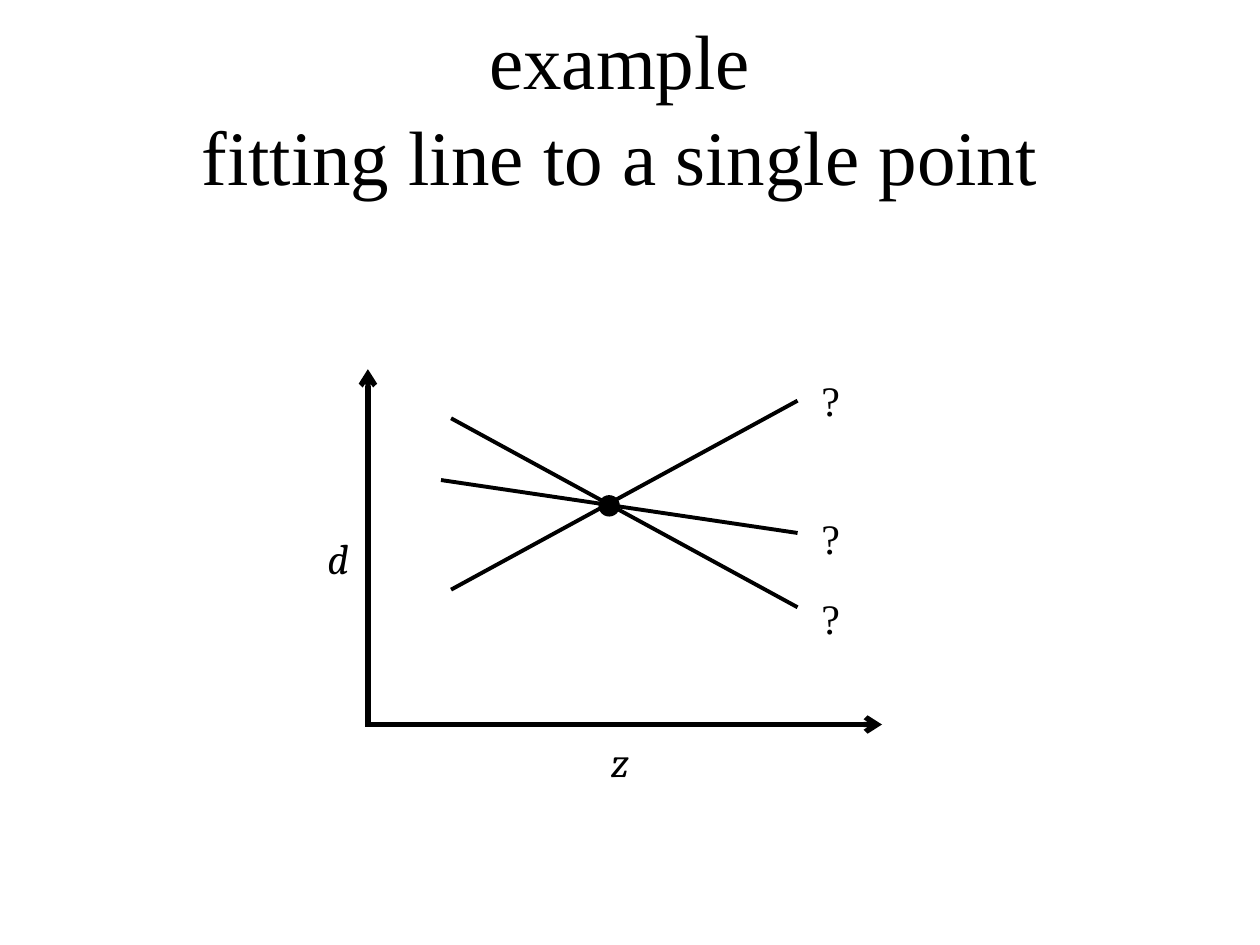
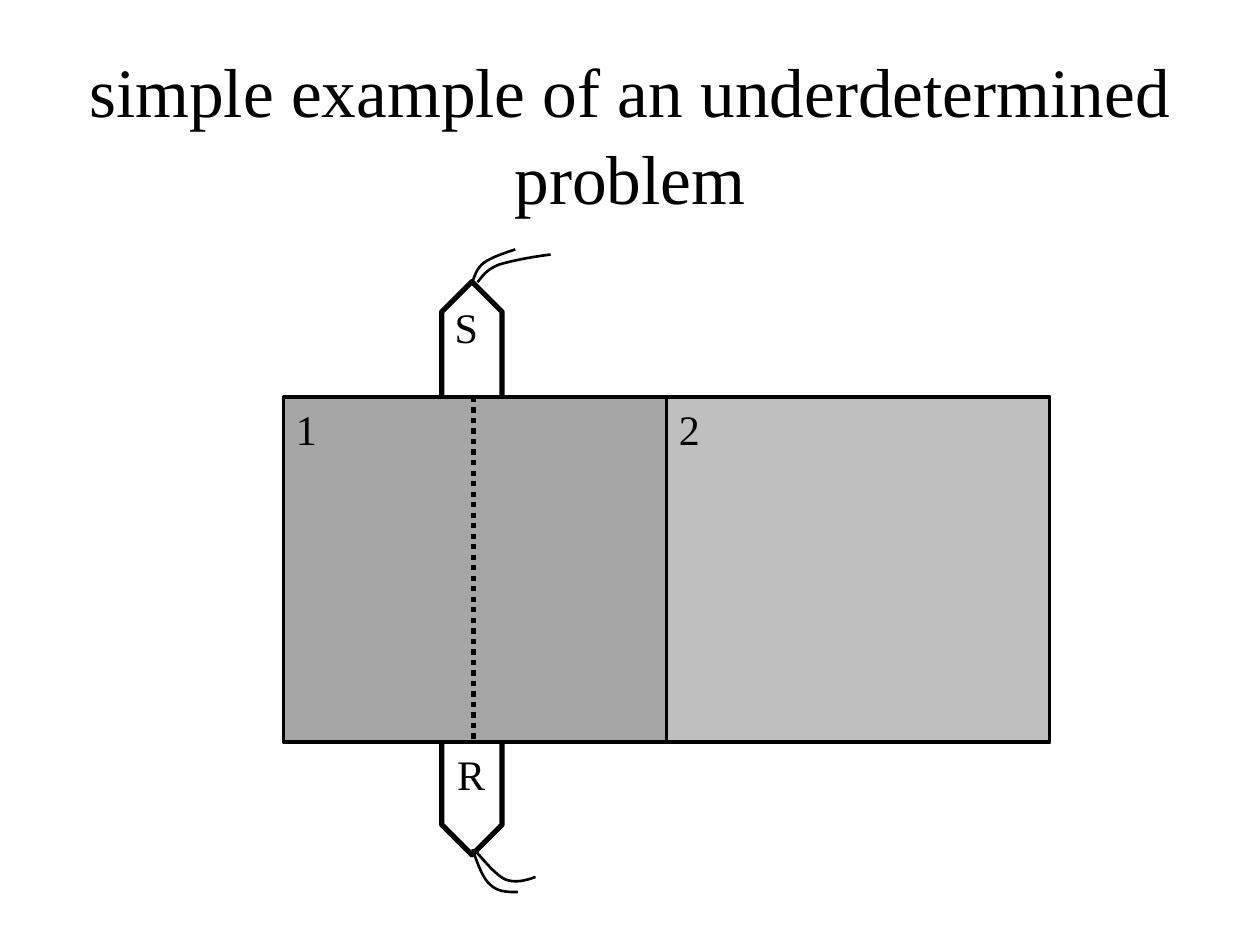
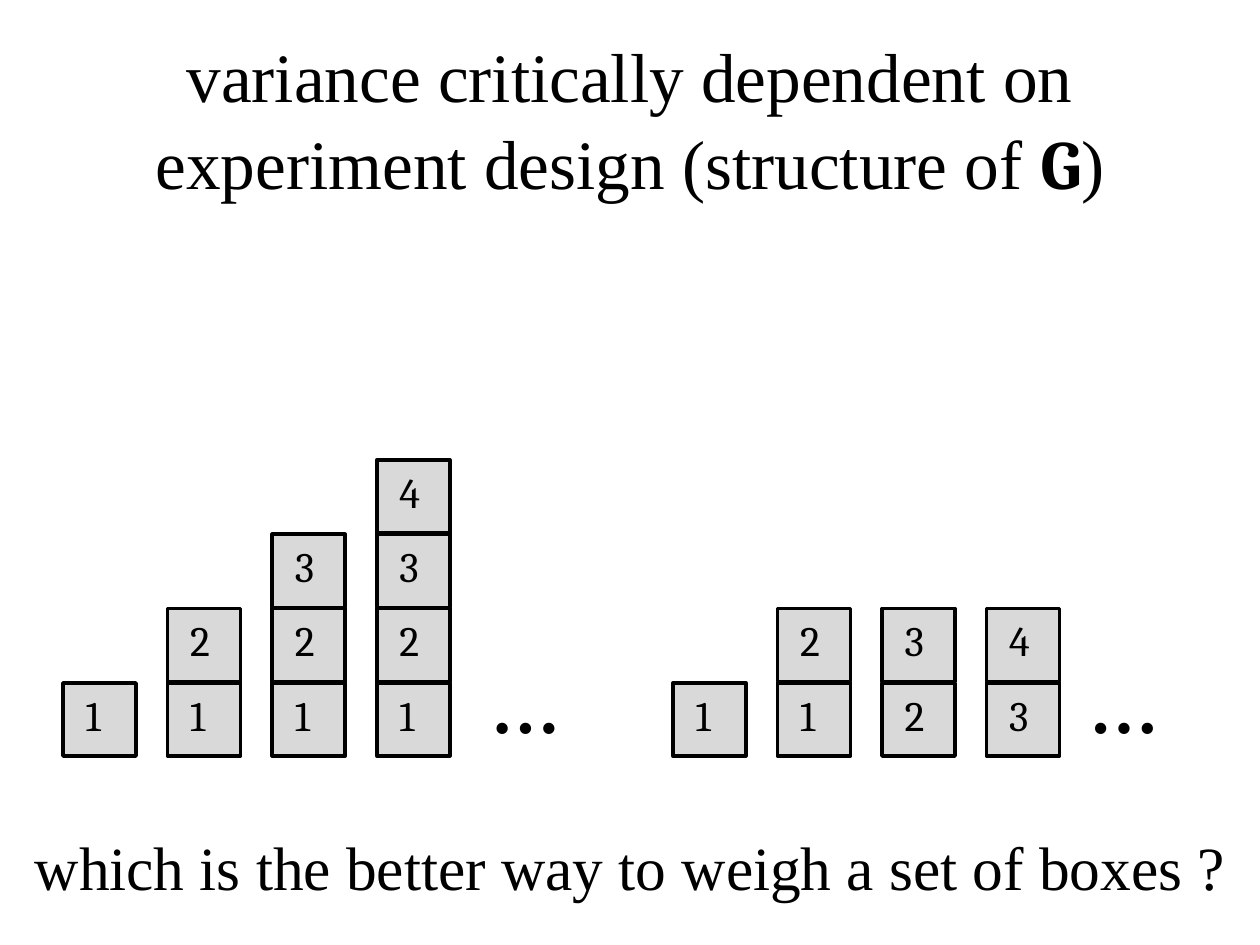
"""Build three slides on fitting a line, an underdetermined problem and weighing boxes."""
from pptx import Presentation
from pptx.dml.color import RGBColor
from pptx.enum.dml import MSO_LINE
from pptx.enum.shapes import MSO_CONNECTOR, MSO_SHAPE
from pptx.enum.text import MSO_ANCHOR, PP_ALIGN
from pptx.oxml.ns import qn
from pptx.util import Inches, Pt
from lxml.etree import SubElement

INK = {"black": "000000", "dark": "A6A6A6", "mid": "BFBFBF", "light": "D9D9D9"}
SERIF, MATH = "Times New Roman", "Cambria"

AXES = [(2.92, 5.75, 7, 5.75), (2.92, 5.77, 2.92, 2.93)]
FITS = [(3.58, 4.68, 6.33, 3.18), (3.5, 3.81, 6.33, 4.23), (3.58, 3.32, 6.33, 4.82)]
POINT = (4.75, 3.93, 0.17, 0.17)
NAMES = [("z", 4.75, 5.79), ("d", 2.5, 4.18)]
DOUBTS = [2.92, 4.02, 4.65]

PROBES = [(6.06, 90), (2.48, 270)]
BLOCKS = [((2.25, 3.15, 6.08, 2.74), "dark"), ((5.29, 3.15, 3.04, 2.74), "mid")]
RAY = (3.76, 3.15, 3.76, 5.89)
MARKS = [("R", 3.53, 5.89), ("S", 3.51, 2.34), ("2", 5.29, 3.15), ("1", 2.25, 3.15)]
WIRES = [
    [(3.75, 2.24), (3.77, 2.18), (3.79, 2.12), (3.85, 2.08), (3.91, 2.04), (4, 2.01), (4.09, 1.98)],
    [(3.79, 2.24), (3.83, 2.19), (3.86, 2.14), (3.96, 2.1), (4.06, 2.07), (4.21, 2.04), (4.37, 2.02)],
    [(3.75, 6.74), (3.79, 6.85), (3.83, 6.97), (3.89, 7.02), (3.95, 7.08), (4.03, 7.08), (4.11, 7.08)],
    [(3.77, 6.75), (3.85, 6.84), (3.93, 6.94), (4.01, 6.98), (4.09, 7.01), (4.17, 6.99), (4.25, 6.96)],
]

SETS = [
    (0.5, ["1", "12", "123", "1234"]),
    (5.34, ["1", "12", "23", "34"]),
]
BOX, STEP, RISE, FLOOR = 0.58, 0.83, 0.59, 5.42
DOTS = [3.67, 8.42]


def color(name):
    return RGBColor.from_string(INK[name])


def style(para, size, face=SERIF, bold=False, slant=False):
    font = para.font
    font.name, font.size, font.bold, font.italic = face, Pt(size), bold, slant
    font.color.rgb = color("black")


def label(slide, text, box, size=24, mid=False, **look):
    frame = slide.shapes.add_textbox(*map(Inches, box)).text_frame
    frame.word_wrap = True
    para = frame.paragraphs[0]
    para.text = text
    style(para, size, **look)
    if mid:
        frame.vertical_anchor = MSO_ANCHOR.MIDDLE
        para.alignment = PP_ALIGN.CENTER
    return para


def title(slide, text, box, size=39.6):
    para = label(slide, text, box, size, mid=True)
    para.line_spacing = 1.04
    return para


def ink(shape, width):
    shape.line.color.rgb = color("black")
    shape.line.width = Pt(width)


def solid(slide, kind, box, fill=None, width=2):
    shape = slide.shapes.add_shape(kind, *map(Inches, box))
    shape.shadow.inherit = False
    ink(shape, width)
    if fill:
        shape.fill.solid()
        shape.fill.fore_color.rgb = color(fill)
    else:
        shape.fill.background()
    return shape


def line(slide, ends, width, arrow=False):
    link = slide.shapes.add_connector(MSO_CONNECTOR.STRAIGHT, *map(Inches, ends))
    ink(link, width)
    SubElement(link._element.spPr, qn("a:effectLst"))
    if arrow:
        SubElement(link.line._get_or_add_ln(), qn("a:tailEnd"), type="arrow")
    return link


def bend(knots, steps=12):
    a, b, c, d = knots
    for i in range(1, steps + 1):
        t = i / steps
        u = 1 - t
        yield tuple(
            Inches(u**3 * p + 3 * u * u * t * q + 3 * u * t * t * r + t**3 * s)
            for p, q, r, s in zip(a, b, c, d)
        )


def wire(slide, knots):
    pen = slide.shapes.build_freeform(*map(Inches, knots[0]))
    for i in range(0, len(knots) - 1, 3):
        pen.add_line_segments(list(bend(knots[i:i + 4])), close=False)
    shape = pen.convert_to_shape()
    shape.shadow.inherit = False
    shape.fill.background()
    ink(shape, 1.5)


def crate(slide, left, top, text):
    shape = solid(slide, MSO_SHAPE.RECTANGLE, (left, top, BOX, BOX), "light")
    frame = shape.text_frame
    frame.margin_left, frame.margin_right = Inches(0.18), 0
    frame.vertical_anchor = MSO_ANCHOR.TOP
    para = frame.paragraphs[0]
    para.text = text
    para.alignment = PP_ALIGN.LEFT
    style(para, 24, MATH)


def fitting(slide):
    for ends in AXES:
        line(slide, ends, 3, arrow=True)
    solid(slide, MSO_SHAPE.OVAL, POINT, "black").line.fill.background()
    for text, left, top in NAMES:
        label(slide, text, (left, top, 0.42, 0.5), face=MATH, slant=True)
    for ends in FITS:
        line(slide, ends, 2.25)
    for top in DOUBTS:
        label(slide, "?", (6.42, top, 0.42, 0.5))
    title(slide, "example\nfitting line to a single point", (0.42, 0, 9, 1.67), 44)


def probing(slide):
    for top, turn in PROBES:
        solid(slide, MSO_SHAPE.PENTAGON, (3.26, top, 0.97, 0.48), width=3).rotation = turn
    for box, fill in BLOCKS:
        solid(slide, MSO_SHAPE.RECTANGLE, box, fill)
    line(slide, RAY, 3).line.dash_style = MSO_LINE.ROUND_DOT
    for text, left, top in MARKS:
        label(slide, text, (left, top, 0.8, 0.5))
    for knots in WIRES:
        wire(slide, knots)
    title(slide, "simple example of an underdetermined problem", (0, 0.42, 10, 1.25))


def weighing(slide):
    head = title(slide, "variance critically dependent on experiment design (structure of ",
                 (0.5, 0.3, 9, 1.25))
    bold = head.add_run()
    bold.text = "G"
    bold.font.name, bold.font.bold = MATH, True
    head.add_run().text = ")"
    for left, piles in SETS:
        for col, pile in enumerate(piles):
            for row, text in enumerate(pile):
                crate(slide, left + col * STEP, FLOOR - row * RISE, text)
    for left in DOTS:
        label(slide, "…", (left, 5.33, 1, 0.67), 39.6, mid=True, bold=True).line_spacing = 0.8
    label(slide, "which is the better way to weigh a set of boxes ?", (0, 6.25, 10, 1.25),
          35.1, mid=True)


def main():
    deck = Presentation()
    deck.slide_width, deck.slide_height = Inches(10), Inches(7.5)
    for draw in (fitting, probing, weighing):
        draw(deck.slides.add_slide(deck.slide_layouts[6]))
    deck.save("out.pptx")


if __name__ == "__main__":
    main()
